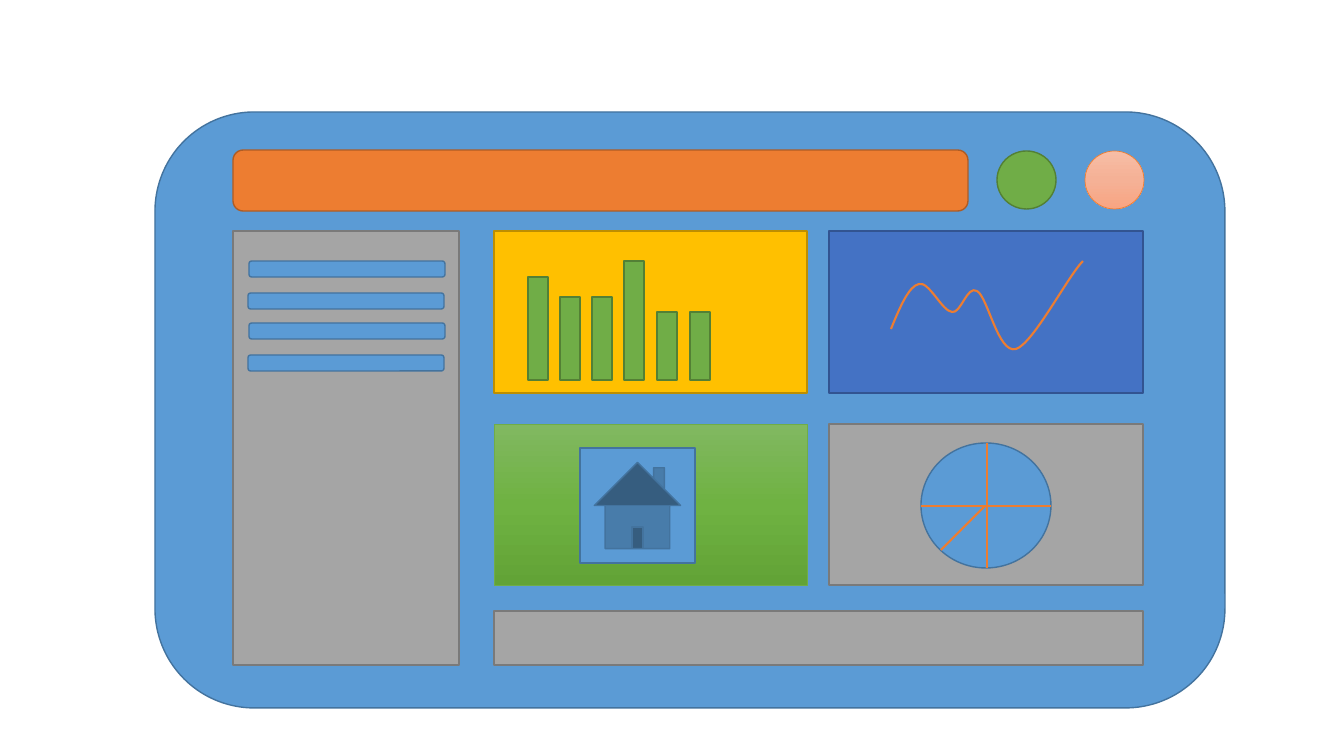
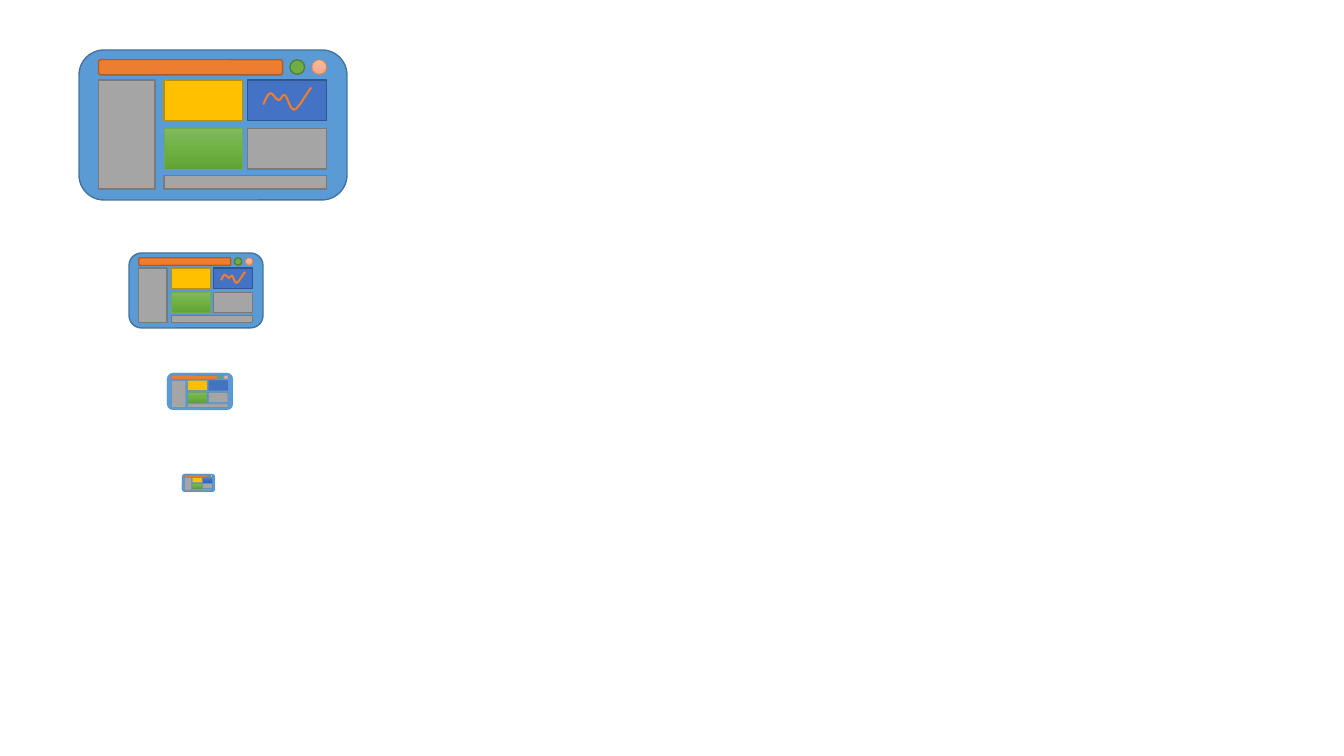
from copy import deepcopy
from lxml.etree import SubElement
from pptx import Presentation
from pptx.dml.color import RGBColor
from pptx.enum.shapes import MSO_CONNECTOR, MSO_SHAPE as S
from pptx.oxml.ns import qn
from pptx.util import Pt

PX = 914400 / 100.8
COLORS = {
    "blue": "5B9BD5", "blue_edge": "43739E",
    "orange": "ED7D31", "orange_edge": "AF5C24",
    "green": "70AD47", "green_edge": "538035",
    "grey": "A5A5A5", "grey_edge": "7A7A7A",
    "gold": "FFC000", "gold_edge": "BD8E00",
    "navy": "4472C4", "navy_edge": "325491",
}
FADES = {
    "peach_fade": ("F7BDA5", "F5B196", "F8A582"),
    "green_fade": ("81B861", "6FB242", "62A336"),
    "navy_fade": ("6183CB", "3E70CA", "3062BB"),
}
PANEL = [
    (S.ROUNDED_RECTANGLE, (155, 112, 1070, 596), "blue", "blue_edge", 1),
    (S.ROUNDED_RECTANGLE, (233, 150, 735, 61), "orange", "orange_edge", 1),
    (S.OVAL, (997, 151, 59, 58), "green", "green_edge", 1),
    (S.OVAL, (1085, 151, 59, 58), "peach_fade", "orange", 0.5),
    (S.RECTANGLE, (233, 231, 226, 434), "grey", "grey_edge", 1),
    (S.RECTANGLE, (494, 231, 313, 162), "gold", "gold_edge", 1),
    (S.RECTANGLE, (829, 231, 314, 162), "navy", "navy_edge", 1),
    (S.RECTANGLE, (494, 424, 313, 161), "green_fade", "green", 0.5),
    (S.RECTANGLE, (829, 424, 314, 161), "grey", "grey_edge", 1),
    (S.RECTANGLE, (494, 611, 649, 54), "grey", "grey_edge", 1),
]
START = (891, 329)
CURVE = [
    ((900, 307), (909, 286), (919, 284)),
    ((929, 281), (942, 311), (952, 312)),
    ((961, 314), (967, 285), (977, 291)),
    ((988, 297), (998, 354), (1016, 349)),
    ((1033, 344), (1068, 276), (1083, 261)),
]


def style(sp, fill, line, width, hairline=False):
    if fill in FADES:
        sp.fill.gradient()
        sp.fill.gradient_angle = 270
        stops = sp._element.spPr.find(".//" + qn("a:gsLst"))
        stops.append(deepcopy(stops[-1]))
        for i, stop in enumerate(sp.fill.gradient_stops):
            stop.position = i / 2
            stop.color.rgb = RGBColor.from_string(FADES[fill][i])
    elif fill:
        sp.fill.solid()
        sp.fill.fore_color.rgb = RGBColor.from_string(COLORS[fill])
    if hairline:
        line, width = "blue_edge", 0.25
    sp.line.color.rgb = RGBColor.from_string(COLORS[line])
    sp.line.width = Pt(width)
    spPr = sp._element.spPr
    if hairline:
        SubElement(spPr.find(qn("a:ln")).find(".//" + qn("a:srgbClr")),
                   qn("a:alpha"), val="48000")
    SubElement(spPr, qn("a:effectLst"))


def panel(shapes, hairline=False, fade_navy=False):
    for kind, box, fill, line, width in PANEL:
        sp = shapes.add_shape(kind, *[round(v * PX) for v in box])
        if fade_navy and fill == "navy":
            fill = "navy_fade"
        style(sp, fill, line, width, hairline)
    builder = shapes.build_freeform(*START, scale=PX)
    builder.add_line_segments([end for _, _, end in CURVE], close=False)
    sp = builder.convert_to_shape()
    left = START[0]
    top = min(end[1] for _, _, end in CURVE)
    for seg, controls in zip(list(sp._element.iter(qn("a:lnTo"))), CURVE):
        seg.tag = qn("a:cubicBezTo")
        for i, (x, y) in enumerate(controls[:2]):
            pt = deepcopy(seg[-1])
            pt.set("x", str(x - left))
            pt.set("y", str(y - top))
            seg.insert(i, pt)
    sp.fill.background()
    style(sp, None, "orange", 1.5, hairline)


prs = Presentation()
prs.slide_width, prs.slide_height = round(1344 * PX), round(756 * PX)
blank = prs.slide_layouts[6]

shapes = prs.slides.add_slide(blank).shapes
panel(shapes)

bars = [(528, 277), (560, 297), (592, 297), (624, 261), (657, 312), (690, 312)]
menu = [(249, 261), (248, 293), (249, 323), (248, 355)]
details = [(S.RECTANGLE, (x, y, 20, 380 - y), "green") for x, y in bars]
details += [
    (S.ACTION_BUTTON_HOME, (580, 448, 115, 115), "blue"),
    (S.OVAL, (921, 443, 130, 125), "blue"),
]
details += [(S.ROUNDED_RECTANGLE, (x, y, 196, 16), "blue") for x, y in menu]
for kind, box, color in details:
    sp = shapes.add_shape(kind, *[round(v * PX) for v in box])
    style(sp, color, color + "_edge", 1)

spokes = [(1051, 506, 921, 506), (987, 443, 987, 568), (985, 506, 941, 550)]
for ends in spokes:
    spoke = shapes.add_connector(MSO_CONNECTOR.STRAIGHT, *[round(v * PX) for v in ends])
    style(spoke, None, "orange", 1.5)

shapes = prs.slides.add_slide(blank).shapes
sizes = [
    ((79, 50, 268, 150), False, False),
    ((129, 253, 134, 75), False, False),
    ((182, 474, 33, 18), True, True),
    ((167, 373, 66, 37), True, False),
]
for box, hairline, fade_navy in sizes:
    group = shapes.add_group_shape()
    panel(group.shapes, hairline, fade_navy)
    for name, v in zip(("left", "top", "width", "height"), box):
        setattr(group, name, round(v * PX))

prs.save("out.pptx")
